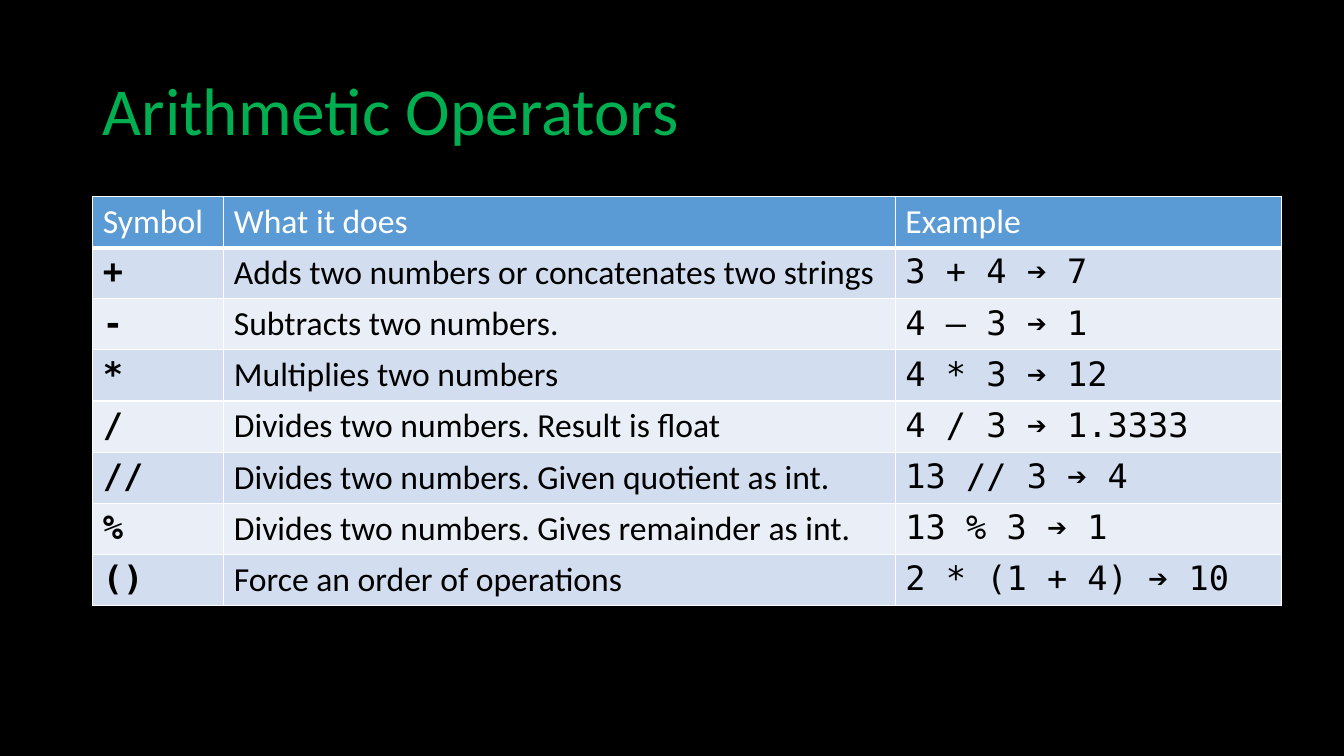
from lxml import etree
from pptx import Presentation
from pptx.dml.color import RGBColor
from pptx.enum.text import MSO_ANCHOR, MSO_AUTO_SIZE, PP_ALIGN
from pptx.oxml.ns import qn
from pptx.util import Emu, Pt

MIDDLE = MSO_ANCHOR.MIDDLE
NO_AUTOFIT = MSO_AUTO_SIZE.NONE
LEFT = PP_ALIGN.LEFT
TITLE_ONLY = 5

PX = 9144  # 100 px to the inch

HEADERS = ("Symbol", "What it does", "Example")
OPERATORS = (
    ("+", "Adds two numbers or concatenates two strings", "3 + 4 ➔ 7"),
    ("-", "Subtracts two numbers.", "4 – 3 ➔ 1"),
    ("*", "Multiplies two numbers", "4 * 3 ➔ 12"),
    ("/", "Divides two numbers. Result is float", "4 / 3 ➔ 1.3333"),
    ("//", "Divides two numbers. Given quotient as int.", "13 // 3 ➔ 4"),
    ("%", "Divides two numbers. Gives remainder as int.", "13 % 3 ➔ 1"),
    ("()", "Force an order of operations", "2 * (1 + 4) ➔ 10"),
)
COLUMN_WIDTHS = (130, 666, 383)
ROW_HEIGHT = 41


def px(length):
    return Emu(length * PX)


def color(hex_string):
    return RGBColor.from_string(hex_string)


class SlideBuilder:
    """Holds the style and the current slide."""

    TEXT_FONT = "Calibri"
    CODE_FONT = "DejaVu Sans Mono"
    BACKGROUND = "000000"
    TITLE_COLOR = "00B050"
    HEADER_FILL = "5B9BD5"
    BAND_FILLS = ("D2DEEF", "EAEFF7")
    BORDER = "FFFFFF"

    def __init__(self, presentation):
        self.slide = presentation.slides.add_slide(
            presentation.slide_layouts[TITLE_ONLY])
        fill = self.slide.background.fill
        fill.solid()
        fill.fore_color.rgb = color(self.BACKGROUND)

    def add_text(self, paragraph, text, text_color, **font_format):
        run = paragraph.add_run()
        run.text = text
        for name, value in font_format.items():
            setattr(run.font, name, value)
        run.font.color.rgb = color(text_color)

    def title(self, text, left, top, width, height):
        shape = self.slide.shapes.title
        place = {"left": left, "top": top, "width": width, "height": height}
        for name, value in place.items():
            setattr(shape, name, px(value))
        frame = shape.text_frame
        frame_format = {"word_wrap": True, "auto_size": NO_AUTOFIT,
                        "vertical_anchor": MIDDLE}
        for name, value in frame_format.items():
            setattr(frame, name, value)
        paragraph = frame.paragraphs[0]
        paragraph.alignment = LEFT
        paragraph.line_spacing = 0.9
        self.add_text(paragraph, text, self.TITLE_COLOR,
                      name=self.TEXT_FONT, size=Pt(48), bold=False)

    def borders(self, cell, top=1, bottom=1):
        properties = cell._tc.get_or_add_tcPr()
        widths = {"a:lnL": 1, "a:lnR": 1, "a:lnT": top, "a:lnB": bottom}
        # Border lines come before the fill
        for position, (tag, width) in enumerate(widths.items()):
            line = etree.Element(qn(tag), w=str(Pt(width)))
            solid = etree.SubElement(line, qn("a:solidFill"))
            etree.SubElement(solid, qn("a:srgbClr"), val=self.BORDER)
            properties.insert(position, line)

    def cell(self, cell, text, fill, text_color, font, bold):
        cell.fill.solid()
        cell.fill.fore_color.rgb = color(fill)
        self.add_text(cell.text_frame.paragraphs[0], text, text_color,
                      name=font, size=Pt(24), bold=bold)

    def table(self, headers, rows, left, top, column_widths, row_height):
        row_count = len(rows) + 1
        table = self.slide.shapes.add_table(
            row_count, len(headers), px(left), px(top),
            px(sum(column_widths)), px(row_count * row_height)).table
        table.horz_banding = False
        for column, width in zip(table.columns, column_widths):
            column.width = px(width)

        # Header row
        for index, text in enumerate(headers):
            cell = table.cell(0, index)
            self.cell(cell, text, self.HEADER_FILL, "FFFFFF",
                      self.TEXT_FONT, False)
            self.borders(cell, bottom=3)

        # Banded rows: bold symbol, plain description, code example
        styles = ((self.CODE_FONT, True), (self.TEXT_FONT, False),
                  (self.CODE_FONT, False))
        for row_index, texts in enumerate(rows, start=1):
            fill = self.BAND_FILLS[(row_index - 1) % 2]
            for index, (text, (font, bold)) in enumerate(zip(texts, styles)):
                cell = table.cell(row_index, index)
                self.cell(cell, text, fill, "000000", font, bold)
                self.borders(cell, top=3 if row_index == 1 else 1)


def main():
    presentation = Presentation()
    presentation.slide_width = px(1333)
    presentation.slide_height = px(750)
    builder = SlideBuilder(presentation)
    builder.title("Arithmetic Operators", 92, 40, 1150, 145)
    builder.table(HEADERS, OPERATORS, 92, 195, COLUMN_WIDTHS, ROW_HEIGHT)
    presentation.save("out.pptx")


if __name__ == "__main__":
    main()
